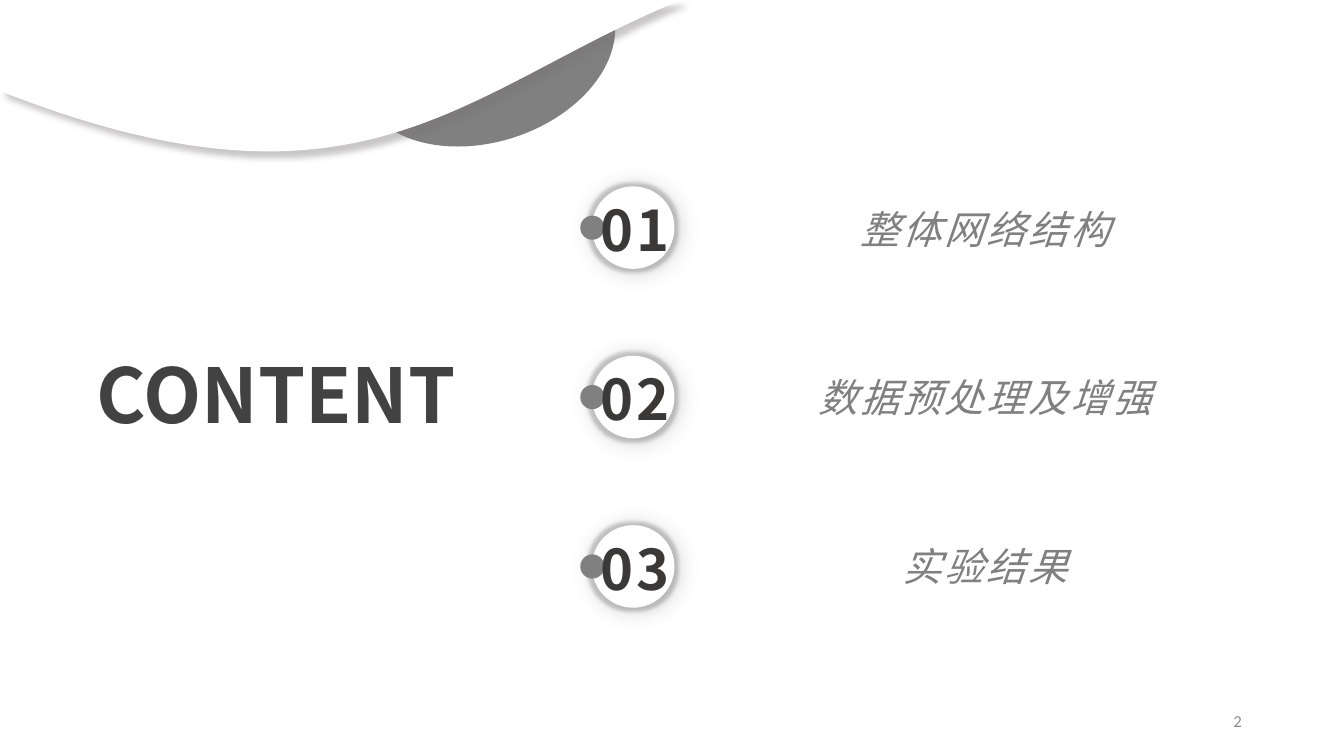
import math
from dataclasses import dataclass

import pptx
import pptx.dml.color
import pptx.enum.shapes
import pptx.enum.text
import pptx.oxml
import pptx.oxml.ns
import pptx.util

Pt = pptx.util.Pt
qn = pptx.oxml.ns.qn
ALIGN = pptx.enum.text.PP_ALIGN
ANCHOR = pptx.enum.text.MSO_ANCHOR
FIT = pptx.enum.text.MSO_AUTO_SIZE.SHAPE_TO_FIT_TEXT


@dataclass(frozen=True)
class Theme:
    font: str = "Noto Sans CJK SC"
    page_font: str = "Calibri"
    white: str = "FFFFFF"
    grey: str = "808080"
    title: str = "424242"
    number: str = "3B3838"
    page: str = "8C8C8C"
    wave_shadow: str = "767171"
    title_size: int = 54
    number_size: int = 40
    label_size: int = 28
    page_size: int = 12


THEME = Theme()
ROW_TOP, ROW_PITCH = 133.1, 121
# Number, heading, top of the heading's box
ROWS = [
    ("01", "整体网络结构", 146.9),
    ("02", "数据预处理及增强", 266.4),
    ("03", "实验结果", 387.4),
]


def rgb(value):
    return pptx.dml.color.RGBColor.from_string(value)


def set_all(target, values):
    for name, value in values.items():
        setattr(target, name, value)


def add_effect(s, tag, color, opacity, **attrs):
    settings = " ".join(f'{name}="{value}"' for name, value in attrs.items())
    s._element.spPr.find(qn("a:effectLst")).append(pptx.oxml.parse_xml(
        f'<a:{tag} {pptx.oxml.ns.nsdecls("a")} {settings}>'
        f'<a:srgbClr val="{color}"><a:alpha val="{opacity * 1000}"/>'
        f'</a:srgbClr></a:{tag}>'))


def paint(s, color, glow=None, shadow=None):
    """Glow is (colour, opacity %, radius); shadow adds distance and angle."""
    s.fill.solid()
    s.fill.fore_color.rgb = rgb(color)
    s.line.fill.background()
    s.shadow.inherit = False
    if glow:
        tint, opacity, radius = glow
        add_effect(s, "glow", tint, opacity, rad=Pt(radius))
    if shadow:
        tint, opacity, blur, distance, angle = shadow
        add_effect(s, "outerShdw", tint, opacity, blurRad=Pt(blur),
                   dist=Pt(distance), dir=angle * 60000, rotWithShape=0)


def add_text(shapes, box, text, color, size, font=THEME.font, align=ALIGN.LEFT,
             spacing=0, frame=None, **style):
    sp = shapes.add_textbox(*map(Pt, box))
    tf = sp.text_frame
    set_all(tf, {"word_wrap": True, **(frame or {})})
    p = tf.paragraphs[0]
    p.alignment = align
    r = p.add_run()
    r.text = text
    set_all(r.font, {"name": font, "size": Pt(size), **style})
    r.font.color.rgb = rgb(color)
    props = r.font._element
    if spacing:
        props.set("spc", str(spacing * 100))
    ea = props.makeelement(qn("a:ea"), {"typeface": font})
    props.find(qn("a:latin")).addnext(ea)


def add_centred(shapes, box, text, color, size, **style):
    margins = dict.fromkeys(
        ("margin_left", "margin_top", "margin_right", "margin_bottom"), 0)
    frame = {**margins, "vertical_anchor": ANCHOR.MIDDLE, "auto_size": FIT}
    add_text(shapes, box, text, color, size, align=ALIGN.CENTER,
             spacing=2, frame=frame, **style)


def add_disc(shapes, left, top, size, color, **effects):
    s = shapes.add_shape(pptx.enum.shapes.MSO_SHAPE.OVAL,
                         *map(Pt, (left, top, size, size)))
    paint(s, color, **effects)


def turn(point, centre, degrees):
    dx, dy = point[0] - centre[0], point[1] - centre[1]
    cos, sin = math.cos(math.radians(degrees)), math.sin(math.radians(degrees))
    return centre[0] + dx * cos - dy * sin, centre[1] + dx * sin + dy * cos


def add_outline(shapes, start, segments, height=None):
    """Each segment is one point (line) or three (cubic curve)."""
    ends = [tuple(map(Pt, segment[-1])) for segment in segments]
    builder = shapes.build_freeform(*map(Pt, start), scale=1.0)
    builder.add_line_segments(ends, close=True)
    s = builder.convert_to_shape()
    path_el = next(s._element.iter(qn("a:path")))
    for line, segment in zip(path_el.findall(qn("a:lnTo")), segments):
        if len(segment) == 3:
            line.tag = qn("a:cubicBezTo")
            for i, (x, y) in enumerate(segment[:2]):
                line.insert(i, line.makeelement(qn("a:pt"), {
                    "x": str(Pt(x) - s.left), "y": str(Pt(y) - s.top)}))
    if height:
        s.height = Pt(height)
        path_el.set("h", str(Pt(height)))
    return s


def add_leaf(shapes):
    centre, tilt = (349.2, 41), -18.4
    outline = [
        [(280, 0)], [(435, 0)], [(437, 5.8)],
        [(448.5, 40.5), (417.5, 81.5), (368, 98)],
        [(318, 114.5), (268.5, 100), (257, 65.5)],
        [(250, 44), (259, 19.5), (279.5, 0.7)],
    ]
    level = [[turn(p, centre, -tilt) for p in segment] for segment in outline]
    s = add_outline(shapes, level[0][0], level[1:])
    s.rotation = tilt
    paint(s, THEME.grey)


def add_wave(shapes):
    outline = [[(486.7, 0)], [(476, 4.5)],
               [(327, 68.5), (253.5, 165), (0, 65)]]
    s = add_outline(shapes, (0, 0), outline, height=108)
    paint(s, THEME.white, shadow=(THEME.wave_shadow, 40, 4, 6, 45))


def add_badge(shapes, top, number):
    group = shapes.add_group_shape().shapes
    add_disc(group, 422.8, top, 59, THEME.white, glow=(THEME.grey, 40, 5),
             shadow=(THEME.grey, 40, 16, 2, 30))
    add_disc(group, 414.5, top + 20.9, 17.3, THEME.grey)
    add_centred(group, (412.4, top + 6.3, 82.8, 48.2), number,
                THEME.number, THEME.number_size, bold=True)


def main():
    prs = pptx.Presentation()
    set_all(prs, {"slide_width": Pt(960), "slide_height": Pt(540)})
    shapes = prs.slides.add_slide(prs.slide_layouts[6]).shapes

    # Leaf behind the wave, page number and title
    add_leaf(shapes)
    add_text(shapes, (678.2, 500.4, 216, 28.8), "2", THEME.page,
             THEME.page_size, font=THEME.page_font, align=ALIGN.RIGHT,
             frame={"vertical_anchor": ANCHOR.MIDDLE})
    add_text(shapes, (61.9, 244.8, 287.3, 72.7), "CONTENT", THEME.title,
             THEME.title_size, bold=True,
             frame={"word_wrap": False, "auto_size": FIT})
    add_wave(shapes)

    # Numbered sections
    for i, (number, heading, heading_top) in enumerate(ROWS):
        add_badge(shapes, ROW_TOP + i * ROW_PITCH, number)
        add_centred(shapes, (477.4, heading_top, 452.9, 33.8), heading,
                    THEME.grey, THEME.label_size, italic=True)

    prs.save("out.pptx")


main()
